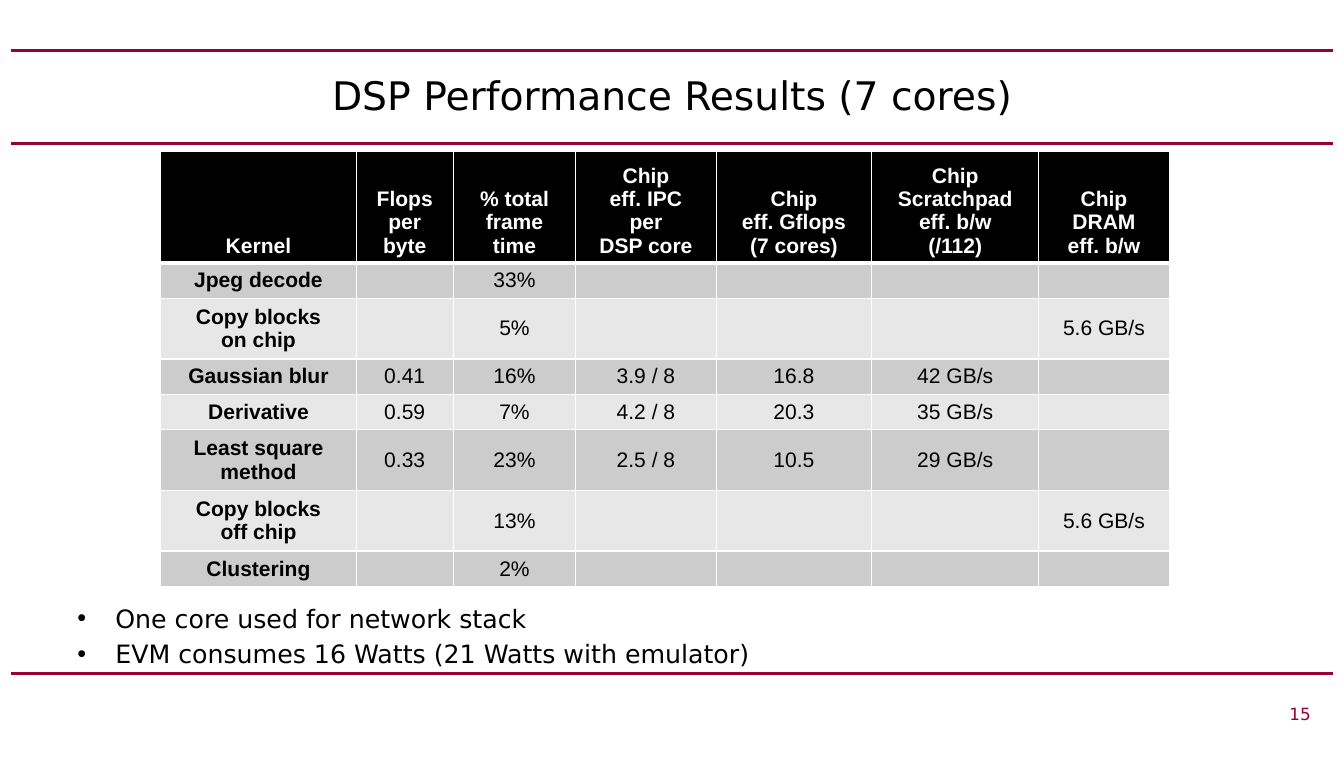
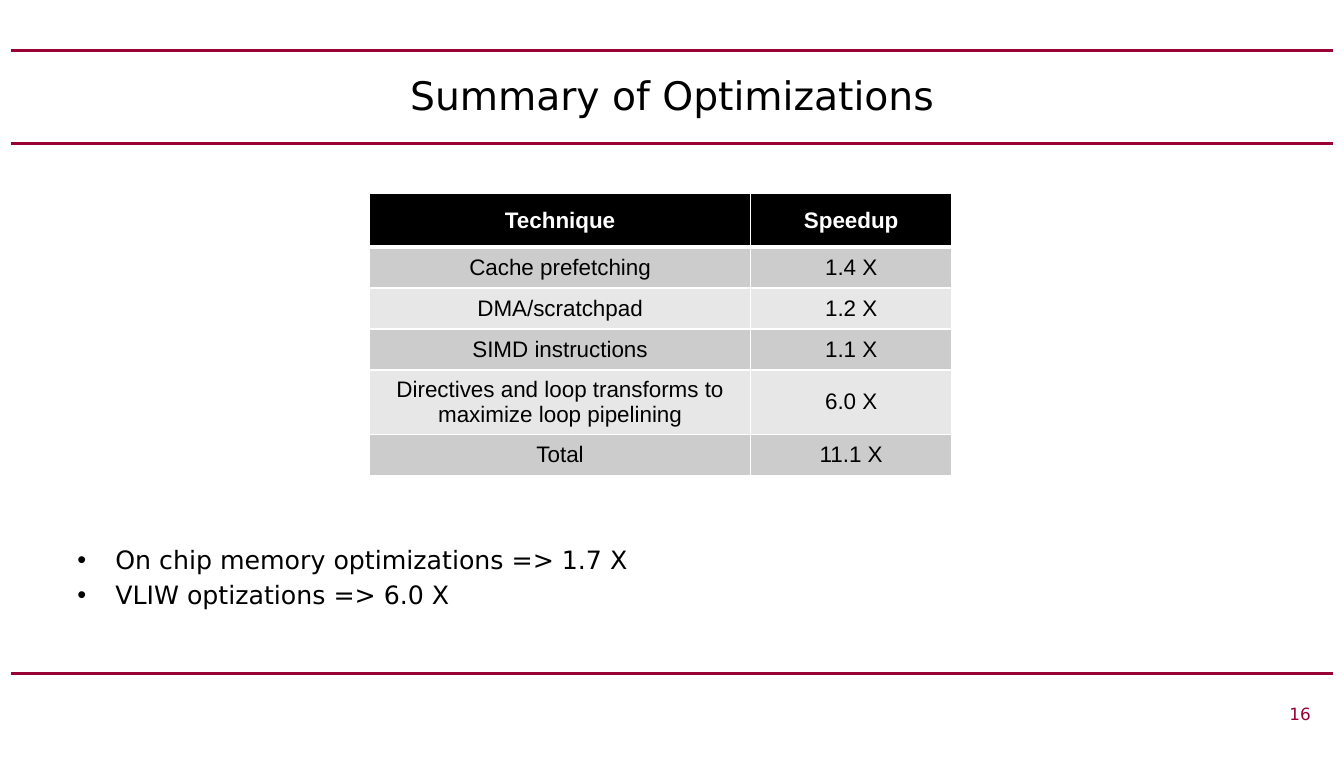
from lxml.etree import SubElement
from pptx import Presentation
from pptx.dml.color import RGBColor
from pptx.enum.shapes import MSO_CONNECTOR as Connector
from pptx.enum.text import MSO_ANCHOR as Anchor, MSO_AUTO_SIZE as AutoSize, PP_ALIGN as Align
from pptx.oxml import parse_xml
from pptx.oxml.ns import nsdecls, qn
from pptx.util import Pt

COLORS = {"rule": "990033", "text": "000000", "header": "000000", "header_text": "FFFFFF",
          "odd_row": "CCCCCC", "even_row": "E7E7E7", "border": "FFFFFF"}
TITLE_FONT, TABLE_FONT = "DejaVu Sans", "Arial"
RULE_TOPS = (36, 102.25, 480)
RULE_LEFT, RULE_RIGHT = 8, 950
TEXT_LEFT, TEXT_WIDTH = 48, 862
THIN, THICK = 1, 3


def rgb(name):
    return RGBColor.from_string(COLORS[name])


class Deck:
    """Holds the shared style and the current slide."""

    def __init__(self):
        self.presentation = Presentation()
        self.presentation.slide_width = Pt(958)
        self.presentation.slide_height = Pt(540)
        self.slide = None

    def format_text(self, text_frame, size, font=TITLE_FONT, color="text", bold=False, align=None):
        for paragraph in text_frame.paragraphs:
            paragraph.alignment = align
            for run in paragraph.runs:
                run.font.size, run.font.name, run.font.bold = Pt(size), font, bold
                run.font.color.rgb = rgb(color)

    def place(self, shape, top, height):
        shape.left, shape.top = Pt(TEXT_LEFT), Pt(top)
        shape.width, shape.height = Pt(TEXT_WIDTH), Pt(height)
        shape.text_frame.word_wrap = True
        shape.text_frame.auto_size = AutoSize.NONE

    def add_slide(self, title, number):
        self.slide = self.presentation.slides.add_slide(self.presentation.slide_layouts[1])
        for top in RULE_TOPS:
            self.add_rule(top)
        shape = self.slide.shapes.title
        self.place(shape, 36, 62.5)
        shape.text_frame.text = title
        shape.text_frame.vertical_anchor = Anchor.MIDDLE
        self.format_text(shape.text_frame, 28, align=Align.CENTER)
        self.add_number(number)

    def add_rule(self, top):
        rule = self.slide.shapes.add_connector(
            Connector.STRAIGHT, Pt(RULE_LEFT), Pt(top), Pt(RULE_RIGHT), Pt(top))
        rule.line.color.rgb = rgb("rule")
        rule.line.width = Pt(2.25)
        SubElement(rule._element.spPr, qn("a:effectLst"))

    def add_number(self, number):
        box = self.slide.shapes.add_textbox(Pt(271.5), Pt(498), Pt(670), Pt(24))
        box.text_frame.word_wrap = True
        box.text_frame.text = str(number)
        self.format_text(box.text_frame, 12, color="rule", align=Align.RIGHT)

    def add_bullets(self, lines, top, height):
        body = self.slide.placeholders[1]
        self.place(body, top, height)
        body.text_frame.text = "\n".join(lines)
        self.format_text(body.text_frame, 18)

    def add_table(self, rows, left, top, widths, heights, size,
                  header_anchor=Anchor.MIDDLE, bold_first_column=False):
        table = self.slide.shapes.add_table(
            len(rows), len(widths), Pt(left), Pt(top), Pt(sum(widths)), Pt(sum(heights))).table
        for column, width in zip(table.columns, widths):
            column.width = Pt(width)
        for row, height in zip(table.rows, heights):
            row.height = Pt(height)
        for row_index, texts in enumerate(rows):
            header = row_index == 0
            fill = "header" if header else "odd_row" if row_index % 2 else "even_row"
            for column_index, text in enumerate(texts):
                cell = table.cell(row_index, column_index)
                cell.text_frame.text = text
                cell.margin_left = cell.margin_right = Pt(9.5)
                cell.vertical_anchor = header_anchor if header else Anchor.MIDDLE
                cell.fill.solid()
                cell.fill.fore_color.rgb = rgb(fill)
                self.format_text(cell.text_frame, size, TABLE_FONT,
                                 "header_text" if header else "text",
                                 header or (bold_first_column and column_index == 0),
                                 Align.CENTER)
                if not text:
                    self.size_empty_cell(cell, size)
                self.add_borders(cell, top=THICK if row_index == 1 else THIN,
                                 bottom=THICK if header else THIN)

    def size_empty_cell(self, cell, size):
        # Keeps empty cells from stretching their row
        paragraph = cell.text_frame.paragraphs[0]
        end = SubElement(paragraph._p, qn("a:endParaRPr"), sz=str(size * 100))
        SubElement(end, qn("a:latin"), typeface=TABLE_FONT)

    def add_borders(self, cell, top, bottom):
        properties = cell._tc.get_or_add_tcPr()
        sides = (("lnL", THIN), ("lnR", THIN), ("lnT", top), ("lnB", bottom))
        for index, (side, width) in enumerate(sides):
            properties.insert(index, parse_xml(
                f'<a:{side} {nsdecls("a")} w="{Pt(width)}"><a:solidFill>'
                f'<a:srgbClr val="{COLORS["border"]}"/></a:solidFill></a:{side}>'))


def main():
    deck = Deck()

    # Performance results
    deck.add_slide("DSP Performance Results (7 cores)", 15)
    kernels = [
        ("Kernel", "Flops\nper\nbyte", "% total\nframe\ntime", "Chip\neff. IPC\nper\nDSP core",
         "Chip\neff. Gflops\n(7 cores)", "Chip\nScratchpad\neff. b/w\n(/112)",
         "Chip\nDRAM\neff. b/w"),
        ("Jpeg decode", "", "33%", "", "", "", ""),
        ("Copy blocks\non chip", "", "5%", "", "", "", "5.6 GB/s"),
        ("Gaussian blur", "0.41", "16%", "3.9 / 8", "16.8", "42 GB/s", ""),
        ("Derivative", "0.59", "7%", "4.2 / 8", "20.3", "35 GB/s", ""),
        ("Least square\nmethod", "0.33", "23%", "2.5 / 8", "10.5", "29 GB/s", ""),
        ("Copy blocks\noff chip", "", "13%", "", "", "", "5.6 GB/s"),
        ("Clustering", "", "2%", "", "", "", ""),
    ]
    single, double = 24.75, 42.25
    deck.add_table(kernels, 114.5, 108, (139.5, 69, 87.5, 100, 111, 119, 93),
                   (77.5, single, double, single, single, double, double, single), 15,
                   header_anchor=Anchor.BOTTOM, bold_first_column=True)
    deck.add_bullets(["One core used for network stack",
                      "EVM consumes 16 Watts (21 Watts with emulator)"], 426, 54)

    # Optimization summary
    deck.add_slide("Summary of Optimizations", 16)
    speedups = [
        ("Technique", "Speedup"),
        ("Cache prefetching", "1.4 X"),
        ("DMA/scratchpad", "1.2 X"),
        ("SIMD instructions", "1.1 X"),
        ("Directives and loop transforms to maximize loop pipelining", "6.0 X"),
        ("Total", "11.1 X"),
    ]
    single, double = 29.25, 45.5
    deck.add_table(speedups, 263.5, 138, (271.5, 143.5),
                   (38, single, single, single, double, single), 16)
    deck.add_bullets(["On chip memory optimizations => 1.7 X",
                      "VLIW optizations => 6.0 X"], 384, 90)

    deck.presentation.save("out.pptx")


if __name__ == "__main__":
    main()
